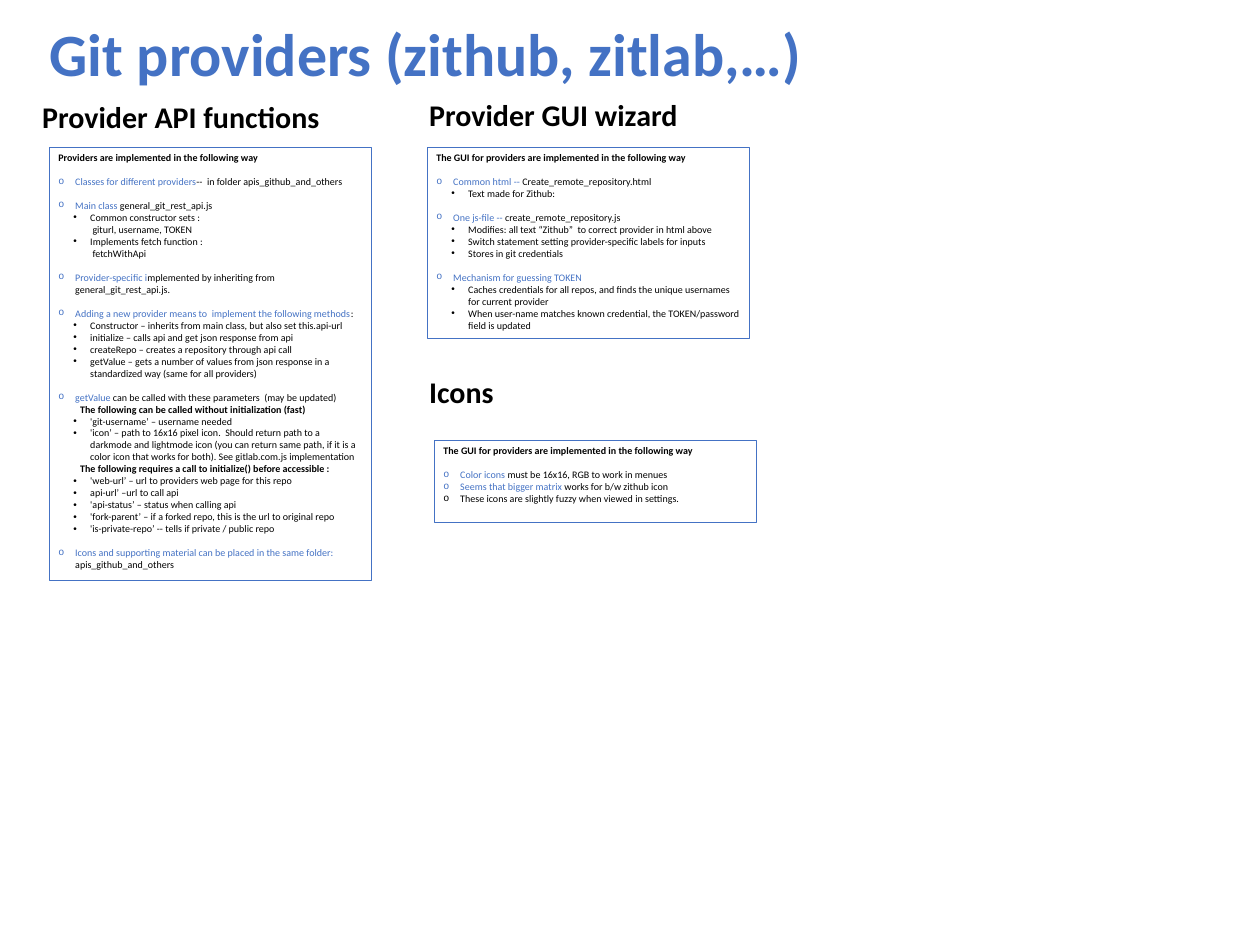
from dataclasses import dataclass

from lxml import etree
from pptx import Presentation
from pptx.dml.color import RGBColor
from pptx.enum.shapes import MSO_SHAPE
from pptx.enum.text import MSO_ANCHOR, MSO_AUTO_SIZE, PP_ALIGN
from pptx.oxml.ns import qn
from pptx.util import Pt

RECT = MSO_SHAPE.RECTANGLE
TOP = MSO_ANCHOR.TOP
FIXED = MSO_AUTO_SIZE.NONE
LEFT = PP_ALIGN.LEFT


@dataclass(frozen=True)
class Theme:
    """Colours, font and sizes of the slide."""
    blue: RGBColor = RGBColor(0x44, 0x72, 0xC4)
    black: RGBColor = RGBColor(0, 0, 0)
    font: str = "Calibri"
    title: int = 48
    head: int = 24
    body: int = 8
    gap: float = 9.6
    rule: float = 0.75


THEME = Theme()

STYLES = {
    "head": dict(bold=True),
    "item": dict(margin=13.5, hang=13.5, mark=("o", "Courier New")),
    "sub": dict(margin=25.5, hang=13.5, mark=("•", "Arial"), level=1),
    "note": dict(margin=17.4, level=1, bold=True),
}

API = [
    ("head", "", "Providers are implemented in the following way"),
    ("item", "Classes for different providers", "--  in folder apis_github_and_others"),
    ("item", "Main class", " general_git_rest_api.js"),
    ("sub", "", "Common constructor sets :\v giturl, username, TOKEN"),
    ("sub", "", "Implements fetch function :\v fetchWithApi"),
    ("item", "Provider-specific i", "mplemented by inheriting from general_git_rest_api.js."),
    ("item", "Adding a new provider means to  implement the following methods", ":"),
    ("sub", "", "Constructor – inherits from main class, but also set this.api-url"),
    ("sub", "", "initialize – calls api and get json response from api"),
    ("sub", "", "createRepo – creates a repository through api call"),
    ("sub", "", "getValue – gets a number of values from json response in a "
     "standardized way (same for all providers)"),
    ("item", "getValue", " can be called with these parameters  (may be updated)"),
    ("note", "", "The following can be called without initialization (fast)"),
    ("sub", "", "'git-username’ – username needed"),
    ("sub", "", "'icon’ – path to 16x16 pixel icon.  Should return path to a  "
     "darkmode and lightmode icon (you can return same path, if it is a "
     "color icon that works for both). See gitlab.com.js implementation"),
    ("note", "", "The following requires a call to initialize() before accessible :"),
    ("sub", "", "'web-url’ – url to providers web page for this repo"),
    ("sub", "", "api-url’ –url to call api"),
    ("sub", "", "'api-status’ – status when calling api"),
    ("sub", "", "'fork-parent’ – if a forked repo, this is the url to original repo"),
    ("sub", "", "'is-private-repo’ -- tells if private / public repo"),
    ("item", "Icons and supporting material can be placed in the same folder: ",
     "apis_github_and_others"),
]

GUI = [
    ("head", "", "The GUI for providers are implemented in the following way"),
    ("item", "Common html -- ", "Create_remote_repository.html"),
    ("sub", "", "Text made for Zithub:"),
    ("item", "One js-file -- ", "create_remote_repository.js"),
    ("sub", "", "Modifies: all text “Zithub”  to correct provider in html above"),
    ("sub", "", "Switch statement setting provider-specific labels for inputs"),
    ("sub", "", "Stores in git credentials"),
    ("item", "Mechanism for guessing TOKEN", ""),
    ("sub", "", "Caches credentials for all repos, and finds the unique "
     "usernames for current provider"),
    ("sub", "", "When user-name matches known credential, the TOKEN/password "
     "field is updated"),
]

ICONS = [
    GUI[0],
    ("item", "Color icons ", "must be 16x16, RGB to work in menues"),
    ("item", "Seems that bigger matrix ", "works for b/w zithub icon"),
    ("item", "", "These icons are slightly fuzzy when viewed in settings."),
]


def write(para, parts, size=THEME.body, bold=False, margin=0, hang=0,
          mark=None, level=0, before=0):
    """Fill a paragraph with (text, colour) parts in the given format."""
    para.level = level
    props = para._p.get_or_add_pPr()
    props.set("marL", str(Pt(margin)))
    props.set("indent", str(-Pt(hang)))
    if mark:
        char, face = mark
        etree.SubElement(props, qn("a:buFont")).set("typeface", face)
        etree.SubElement(props, qn("a:buChar")).set("char", char)
    elif size == THEME.title:
        etree.SubElement(props, qn("a:buNone"))
    para.alignment = LEFT
    para.space_before = Pt(before)
    for text, color in parts:
        for row, line in enumerate(text.split("\v")):
            if row:
                para.add_line_break()
            if line:
                run = para.add_run()
                run.text = line
                font = run.font
                font.name, font.size, font.bold = THEME.font, Pt(size), bold
                font.color.rgb = color


def set_frame(shape, wrap):
    """Anchor the text at the top of a shape of fixed size."""
    frame = shape.text_frame
    frame.word_wrap = wrap
    frame.auto_size = FIXED
    frame.vertical_anchor = TOP
    return frame


def add_title(slide, text, x, y, w, h):
    """Place and format the title placeholder."""
    title = slide.shapes.title
    title.left, title.top, title.width, title.height = map(Pt, (x, y, w, h))
    frame = set_frame(title, True)
    write(frame.paragraphs[0], [(text, THEME.blue)], size=THEME.title, bold=True)


def add_head(slide, text, x, y, w):
    """Add the heading of a section."""
    box = slide.shapes.add_textbox(Pt(x), Pt(y), Pt(w), Pt(36))
    frame = set_frame(box, False)
    write(frame.paragraphs[0], [(text, THEME.black)], size=THEME.head, bold=True)


def add_panel(slide, rows, x, y, h, loose=True):
    """Add an outlined panel, with a gap before each item if loose."""
    panel = slide.shapes.add_shape(RECT, Pt(x), Pt(y), Pt(257.8), Pt(h))
    panel.shadow.inherit = False
    panel.fill.background()
    panel.line.color.rgb = THEME.blue
    panel.line.width = Pt(THEME.rule)
    frame = set_frame(panel, True)
    frame.margin_top = Pt(3)
    for i, (kind, lead, rest) in enumerate(rows):
        para = frame.add_paragraph() if i else frame.paragraphs[0]
        apart = kind == "item" and (loose or i == 1)
        write(para, [(lead, THEME.blue), (rest, THEME.black)],
              before=THEME.gap if apart else 0, **STYLES[kind])


def main():
    """Build and save the slide."""
    deck = Presentation()
    deck.slide_width, deck.slide_height = Pt(1008), Pt(756)
    slide = deck.slides.add_slide(deck.slide_layouts[5])
    add_title(slide, "Git providers (zithub, zitlab,…)", 32.6, 9.4, 660, 65.5)
    add_panel(slide, API, 39.6, 118.1, 346.3)
    add_head(slide, "Provider API functions", 26.6, 74.9, 238.3)
    add_head(slide, "Provider GUI wizard", 336.2, 73.8, 214.6)
    add_panel(slide, GUI, 342, 118.1, 152.6)
    add_panel(slide, ICONS, 347.6, 352.6, 65.5, loose=False)
    add_head(slide, "Icons", 336.2, 295.2, 67)
    deck.save("out.pptx")


if __name__ == "__main__":
    main()
